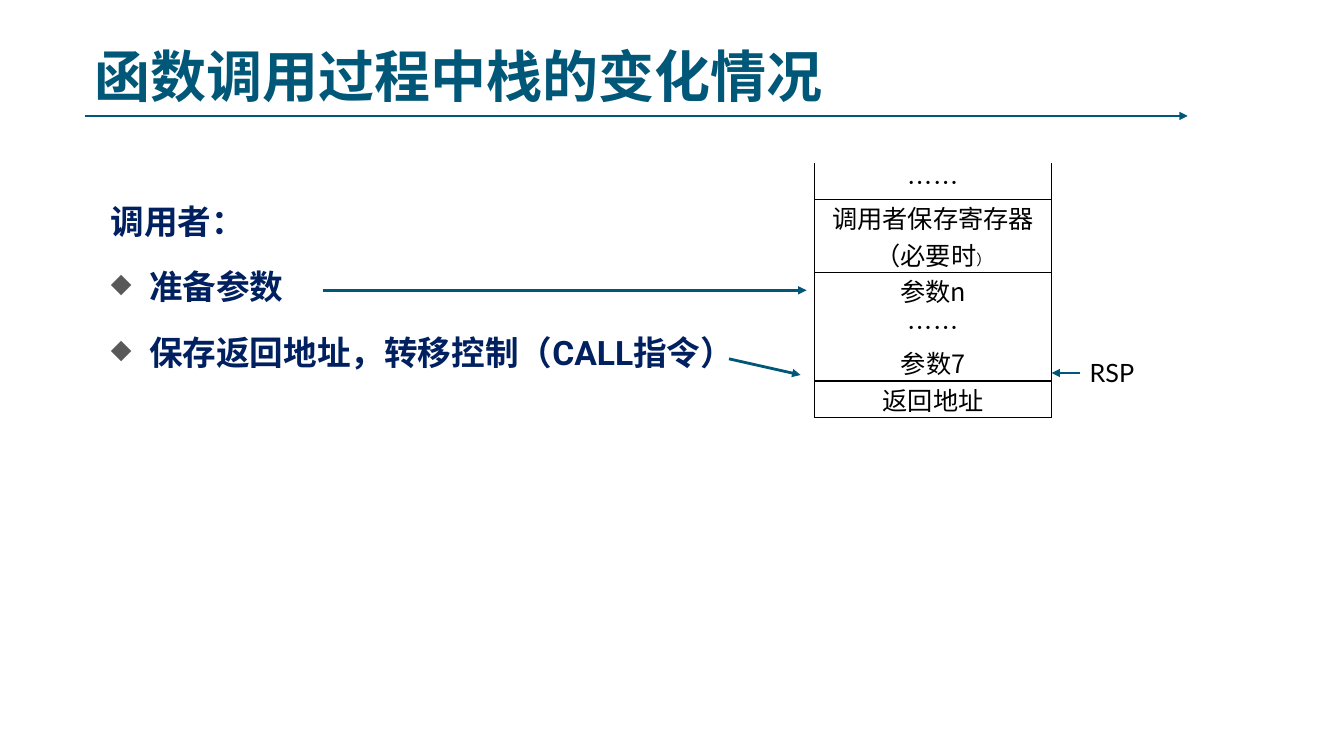
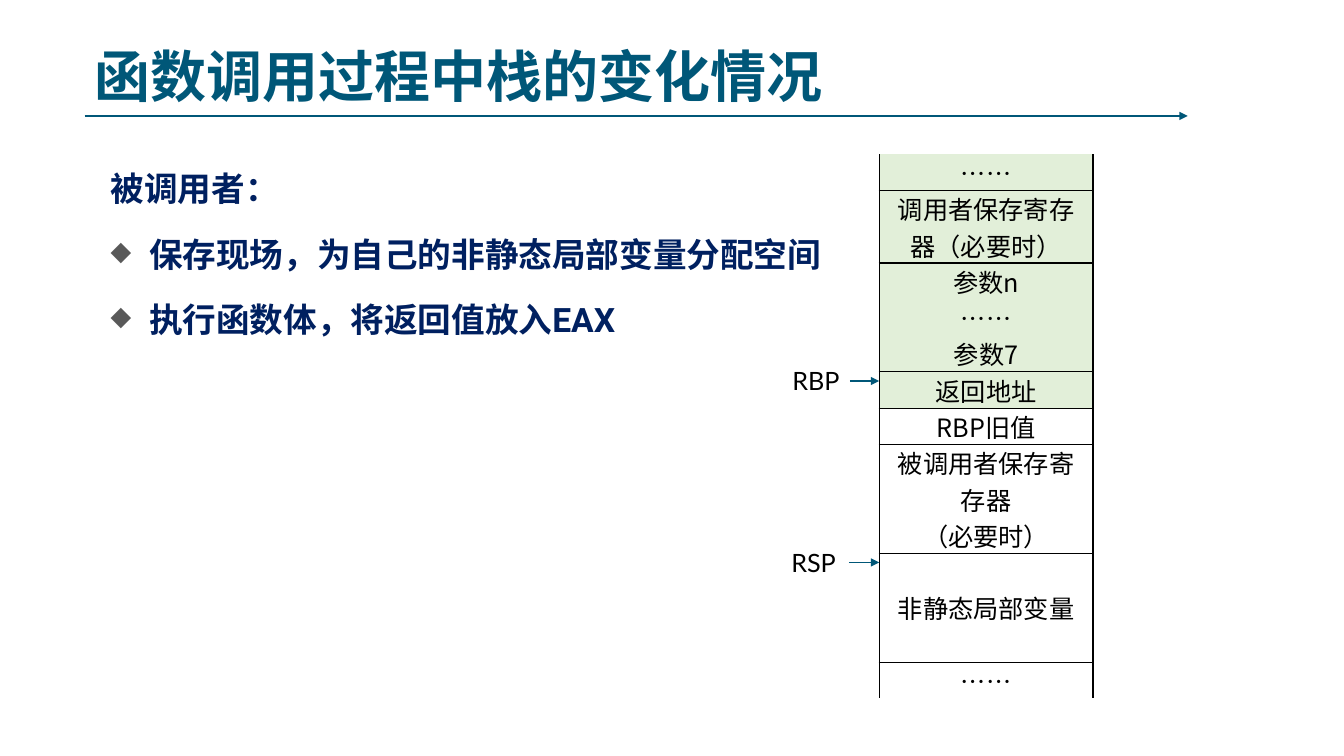
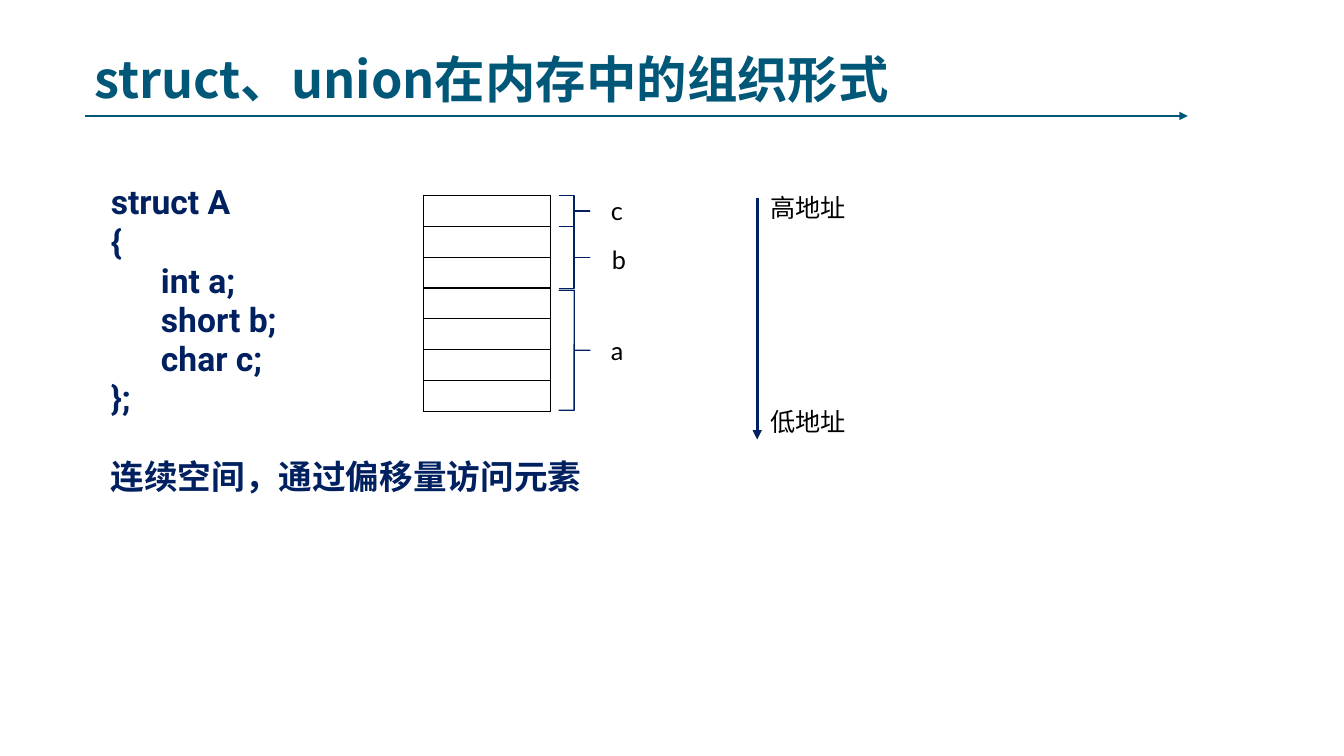
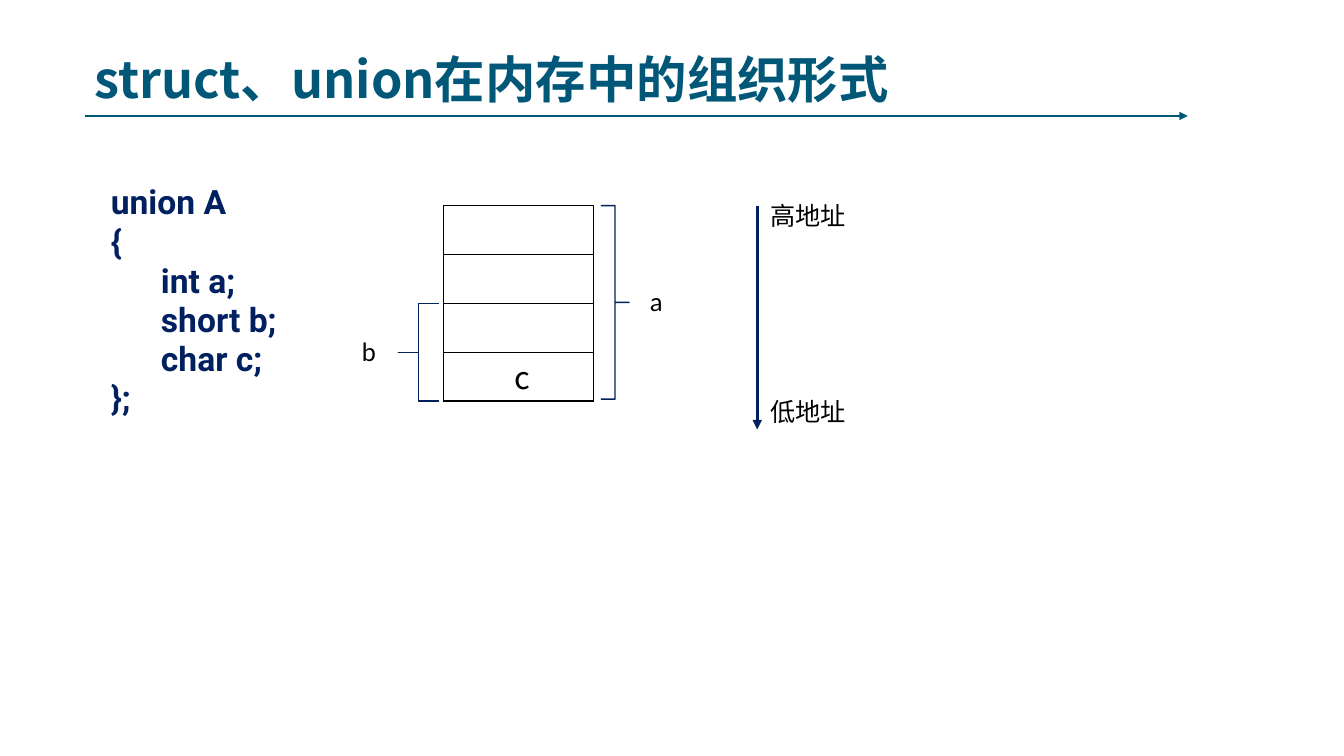
from lxml import etree
from pptx import Presentation
from pptx.dml.color import RGBColor
from pptx.enum.shapes import MSO_CONNECTOR as CONN, MSO_SHAPE as SHAPE
from pptx.enum.text import MSO_ANCHOR as ANCHOR, MSO_AUTO_SIZE as FIT, PP_ALIGN as ALIGN
from pptx.oxml.ns import qn
from pptx.util import Inches, Pt

TEAL, NAVY, BLACK, WHITE, GREEN, GRAY = (
    "005778", "002060", "000000", "FFFFFF", "E2EFD9", "595959")
TITLE = {"name": "Noto Sans CJK SC", "bold": True, "color": TEAL}
BODY = {"name": "Roboto", "size": Pt(24), "bold": True, "color": NAVY}
LABEL = {"name": "Lato", "size": Pt(18), "color": BLACK}
CELL = {"name": "Noto Sans CJK SC", "size": Pt(18), "color": BLACK}

CALLER_ROWS = [
    ("……", 1, "B"), ("调用者保存寄存器（必要时", 2, "TB"), ("参数n", 1, "T"),
    ("……", 1, ""), ("参数7", 1, "B"), ("返回地址", 1, "TB")]
CALLEE_ROWS = [
    ("RBP旧值", 1, "TB"), ("被调用者保存寄存器\n（必要时）", 3, "TB"),
    ("非静态局部变量", 3, "TB"), ("……", 1, "T")]
LINE_H = 0.36
MEMBERS = ["{", "      int a;", "      short b;", "      char c;", "};"]


def rgb(color):
    return RGBColor.from_string(color)


def sub(parent, tag, **attrs):
    el = etree.SubElement(parent, qn(tag))
    for key, value in attrs.items():
        el.set(key, str(value))
    return el


def add_run(p, text, fmt):
    r = p.add_run()
    r.text = text
    for key, value in fmt.items():
        if key == "color":
            r.font.color.rgb = rgb(value)
        else:
            setattr(r.font, key, value)
    sub(r._r.get_or_add_rPr(), "a:ea", typeface=fmt["name"])


def text_box(s, at, lines, fmt, **frame):
    tf = s.shapes.add_textbox(*map(Inches, at)).text_frame
    for key, value in ({"word_wrap": True} | frame).items():
        setattr(tf, key, value)
    for i, line in enumerate(lines):
        p = tf.add_paragraph() if i else tf.paragraphs[0]
        add_run(p, line, fmt)
    return tf.paragraphs


def label(s, x, y, w, text, wrap=True):
    text_box(s, (x, y, w, 0.4), [text], LABEL, word_wrap=wrap,
             auto_size=FIT.SHAPE_TO_FIT_TEXT)


def arrow(s, x1, y1, x2, y2, color=TEAL, width=1):
    c = s.shapes.add_connector(CONN.STRAIGHT, *map(Inches, (x1, y1, x2, y2)))
    c.line.color.rgb = rgb(color)
    c.line.width = Pt(width)
    sub(c.line._get_or_add_ln(), "a:tailEnd", type="triangle")
    sub(c._element.spPr, "a:effectLst")


def bracket(s, x, y, w, h, rotation=0):
    sp = s.shapes.add_shape(SHAPE.RIGHT_BRACE, *map(Inches, (x, y, w, h)))
    sp.adjustments[0], sp.adjustments[1] = 0, 0.5
    sp.rotation = rotation
    sp.shadow.inherit = False
    sp.fill.background()
    sp.line.color.rgb = rgb(NAVY)
    sp.line.width = Pt(1)


def borders(cell, edges):
    tc_pr = cell._tc.get_or_add_tcPr()
    for side in "LRTB":
        ln = sub(tc_pr, f"a:ln{side}", w=Pt(1))
        if side in "LR" + edges:
            sub(sub(ln, "a:solidFill"), "a:srgbClr", val=BLACK)
        else:
            sub(ln, "a:noFill")


def stack(s, x, y, w, line_h, rows, fills):
    total = line_h * sum(lines for _, lines, _ in rows)
    t = s.shapes.add_table(len(rows), 1, *map(Inches, (x, y, w, total))).table
    t.first_row = t.horz_banding = False
    for i, ((text, lines, edges), fill) in enumerate(zip(rows, fills)):
        t.rows[i].height = Inches(line_h * lines)
        cell = t.cell(i, 0)
        cell.margin_left = cell.margin_right = Inches(0.07)
        cell.margin_top = cell.margin_bottom = 0
        cell.vertical_anchor = ANCHOR.MIDDLE
        borders(cell, edges)
        if fill:
            cell.fill.solid()
            cell.fill.fore_color.rgb = rgb(fill)
        else:
            cell.fill.background()
        tf = cell.text_frame
        for j, line in enumerate(text.split("\n") if text else []):
            p = tf.add_paragraph() if j else tf.paragraphs[0]
            p.alignment = ALIGN.CENTER
            add_run(p, line, CELL)
    return t


def call_stack(s, x, y, w, extra_rows, fill, tail_size):
    rows = CALLER_ROWS + extra_rows
    fills = [fill] * len(CALLER_ROWS) + [None] * len(extra_rows)
    t = stack(s, x, y, w, LINE_H, rows, fills)
    add_run(t.cell(1, 0).text_frame.paragraphs[0], "）", CELL | {"size": Pt(tail_size)})


def memory(s, x, y, w, h, n):
    return stack(s, x, y, w, h / n, [("", 1, "TB")] * n, [None] * n)


def new_slide(prs, title, size):
    s = prs.slides.add_slide(prs.slide_layouts[6])
    s.background.fill.solid()
    s.background.fill.fore_color.rgb = rgb(WHITE)
    text_box(s, (0.84, 0, 8.98, 1.08), [title], TITLE | {"size": Pt(size)},
             vertical_anchor=ANCHOR.BOTTOM, margin_bottom=0)
    arrow(s, 0.84, 1.15, 11.78, 1.15, width=1.5)
    return s


def steps(s, at, lines):
    for p in text_box(s, at, lines, BODY)[1:]:
        p.space_before = Pt(18)
        p_pr = p._p.get_or_add_pPr()
        p_pr.set("marL", str(Inches(0.38)))
        p_pr.set("indent", str(-Inches(0.38)))
        sub(sub(p_pr, "a:buClr"), "a:srgbClr", val=GRAY)
        sub(p_pr, "a:buSzPct", val=80000)
        sub(p_pr, "a:buChar", char="◆")


def code(s, w, lines, note=None):
    ps = text_box(s, (1, 2.01, w, 5.28), lines + ([note] if note else []), BODY)
    for i, p in enumerate(ps):
        p.line_spacing = Pt(10)
        p.space_before = Pt(18 if i else 0)
    if note:
        ps[-1].space_before = Pt(46)


def address_axis(s, top, bottom):
    arrow(s, 7.51, top, 7.51, bottom, NAVY, 2.25)
    label(s, 7.54, top - 0.1, 1.09, "高地址")
    label(s, 7.54, bottom - 0.38, 1.09, "低地址")


def caller_slide(prs):
    s = new_slide(prs, "函数调用过程中栈的变化情况", 40)
    steps(s, (1, 1.94, 10.79, 5.35),
          ["调用者：", "准备参数", "保存返回地址，转移控制（CALL指令）"])
    call_stack(s, 8.08, 1.62, 2.35, [], WHITE, 10.5)
    arrow(s, 3.2, 2.88, 8, 2.88, width=2)
    arrow(s, 7.23, 3.56, 7.94, 3.72, width=2)
    label(s, 10.71, 3.5, 0.66, "RSP", False)
    arrow(s, 10.71, 3.7, 10.43, 3.7)


def callee_slide(prs):
    s = new_slide(prs, "函数调用过程中栈的变化情况", 40)
    steps(s, (1, 1.62, 10.47, 5.67),
          ["被调用者：", "保存现场，为自己的非静态局部变量分配空间",
           "执行函数体，将返回值放入EAX"])
    call_stack(s, 8.72, 1.53, 2.12, CALLEE_ROWS, GREEN, 18)
    for text, x, y in (("RBP", 7.76, 3.58), ("RSP", 7.75, 5.38)):
        label(s, x, y, 0.67, text, False)
        arrow(s, x + 0.67, y + 0.2, 8.72, y + 0.2)


def struct_slide(prs):
    s = new_slide(prs, "struct、union在内存中的组织形式", 36)
    code(s, 10.79, ["struct A"] + MEMBERS, "连续空间，通过偏移量访问元素")
    address_axis(s, 1.96, 4.36)
    memory(s, 4.2, 1.94, 1.26, 2.14, 7)
    for text, x, y, h, label_y in (("a", 5.96, 2.88, 1.19, 3.28),
                                   ("b", 5.97, 2.25, 0.61, 2.37),
                                   ("c", 5.96, 1.94, 0.31, 1.89)):
        bracket(s, 5.54, y, 0.31, h)
        label(s, x, label_y, 0.47, text)


def union_slide(prs):
    s = new_slide(prs, "struct、union在内存中的组织形式", 36)
    code(s, 9.21, ["union A"] + MEMBERS)
    address_axis(s, 2.04, 4.26)
    bracket(s, 5.96, 2.04, 0.28, 1.92)
    bracket(s, 3.95, 3.01, 0.4, 0.97, 180)
    label(s, 3.49, 3.29, 0.47, "b")
    label(s, 6.35, 2.79, 0.47, "a")
    cell = memory(s, 4.4, 2.04, 1.49, 1.94, 4).cell(3, 0)
    cell.margin_left = Inches(0.14)
    p = cell.text_frame.paragraphs[0]
    p.alignment = ALIGN.CENTER
    add_run(p, "c", CELL | {"size": Pt(22)})


def main():
    prs = Presentation()
    prs.slide_width, prs.slide_height = Inches(13.33), Inches(7.5)
    for build in (caller_slide, callee_slide, struct_slide, union_slide):
        build(prs)
    prs.save("out.pptx")


if __name__ == "__main__":
    main()
